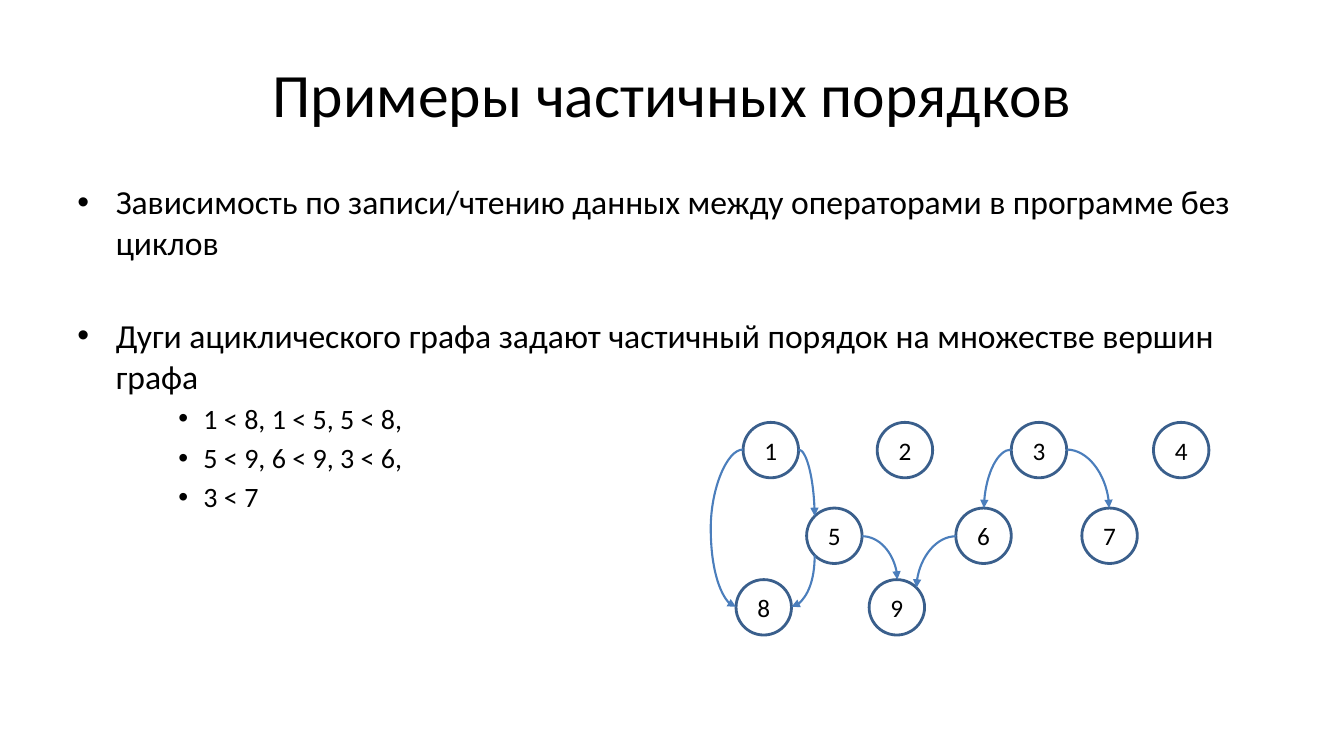
from dataclasses import dataclass

from lxml import etree
from pptx import Presentation
from pptx.dml.color import RGBColor
from pptx.enum.shapes import MSO_CONNECTOR, MSO_SHAPE
from pptx.enum.text import MSO_ANCHOR, PP_ALIGN
from pptx.oxml.ns import qn
from pptx.util import Emu, Pt

CURVE = MSO_CONNECTOR.CURVE
OVAL = MSO_SHAPE.OVAL
LEFT, CENTER = PP_ALIGN.LEFT, PP_ALIGN.CENTER
TOP, MIDDLE = MSO_ANCHOR.TOP, MSO_ANCHOR.MIDDLE


@dataclass(frozen=True)
class Theme:
    font: str = "Calibri"
    text: str = "000000"
    outline: str = "3A5F8C"
    arrow: str = "4B7EBC"
    title: int = 44
    body: int = 24
    sub: int = 20
    node: int = 18


def px(n):
    """100 px to the inch."""
    return Emu(round(n * 9144))


def add_text(tf, text, size, theme, first=True, align=LEFT, before=0, indent=None):
    """Write one paragraph; indent is (margin, hanging) in px and adds a bullet."""
    p = tf.paragraphs[0] if first else tf.add_paragraph()
    p.alignment = align
    p.space_before = Pt(before)
    r = p.add_run()
    r.text = text
    r.font.name = theme.font
    r.font.size = Pt(size)
    r.font.color.rgb = RGBColor.from_string(theme.text)
    if indent:
        margin, hanging = indent
        pPr = p._p.get_or_add_pPr()
        pPr.set("marL", str(px(margin)))
        pPr.set("indent", str(px(-hanging)))
        etree.SubElement(pPr, qn("a:buFont"), typeface="Arial")
        etree.SubElement(pPr, qn("a:buChar"), char="•")


class SlideBuilder:
    def __init__(self, slide, theme):
        self.slide, self.theme = slide, theme

    def text_box(self, x, y, w, h, anchor=TOP):
        tf = self.slide.shapes.add_textbox(px(x), px(y), px(w), px(h)).text_frame
        tf.word_wrap = True
        tf.vertical_anchor = anchor
        return tf

    def node(self, label, x, y, size):
        sp = self.slide.shapes.add_shape(OVAL, px(x), px(y), px(size), px(size))
        sp.shadow.inherit = False
        sp.fill.background()
        sp.line.color.rgb = RGBColor.from_string(self.theme.outline)
        sp.line.width = Pt(2)
        sp.text_frame.vertical_anchor = MIDDLE
        add_text(sp.text_frame, label, self.theme.node, self.theme, align=CENTER)

    def arrow(self, start, end, down_first=False, bulge_x=None):
        """Quarter curve, or a C-shaped curve reaching out to bulge_x."""
        (x1, y1), (x2, y2) = start, end
        c = self.slide.shapes.add_connector(CURVE, px(x1), px(y1), px(x2), px(y2))
        c.line.color.rgb = RGBColor.from_string(self.theme.arrow)
        c.line.width = Pt(1.5)
        spPr = c._element.spPr
        etree.SubElement(c.line._get_or_add_ln(), qn("a:tailEnd"), type="triangle")
        etree.SubElement(spPr, qn("a:effectLst"))
        geom = spPr.find(qn("a:prstGeom"))
        if bulge_x is None:
            geom.set("prst", "curvedConnector2")
        else:
            adj = round((bulge_x - x1) / (x2 - x1) * 100000)
            guides = geom.find(qn("a:avLst"))
            if guides is None:
                guides = etree.SubElement(geom, qn("a:avLst"))
            etree.SubElement(guides, qn("a:gd"), name="adj1", fmla=f"val {adj}")
        if down_first:  # a quarter turn, with width and height swapped
            w, h = abs(y2 - y1), abs(x2 - x1)
            c.left, c.top = px((x1 + x2 - w) / 2), px((y1 + y2 - h) / 2)
            c.width, c.height = px(w), px(h)
            xfrm = spPr.find(qn("a:xfrm"))
            xfrm.attrib.pop("flipH", None)
            xfrm.set("rot", "5400000")


NODE = 55
ROWS = {
    419: {"1": 737, "2": 870, "3": 1003, "4": 1144},
    504: {"5": 800, "6": 948, "7": 1073},
    575: {"8": 730, "9": 862},
}
NODES = {label: (x, y) for y, row in ROWS.items() for label, x in row.items()}
DIAG = 0.707
SITES = {
    "left": (-1, 0), "right": (1, 0), "top": (0, -1),
    "top left": (-DIAG, -DIAG), "top right": (DIAG, -DIAG),
    "bottom left": (-DIAG, DIAG),
}
# From node and site, to node and site, format
ARROWS = [
    ("3", "left", "6", "top", {}),
    ("6", "left", "9", "top right", {}),
    ("5", "right", "9", "top", {}),
    ("5", "bottom left", "8", "right", {"down_first": True}),
    ("1", "left", "8", "left", {"bulge_x": 705}),
    ("1", "right", "5", "top left", {}),
    ("3", "right", "7", "top", {}),
]


def site(label, name):
    x, y = NODES[label]
    dx, dy = SITES[name]
    return round(x + NODE / 2 * (1 + dx)), round(y + NODE / 2 * (1 + dy))


def main():
    theme = Theme()
    prs = Presentation()
    prs.slide_width, prs.slide_height = px(1333), px(750)
    s = SlideBuilder(prs.slides.add_slide(prs.slide_layouts[6]), theme)

    # Title
    tf = s.text_box(67, 30, 1200, 125, MIDDLE)
    add_text(tf, "Примеры частичных порядков", theme.title, theme, align=CENTER)

    # Bullets
    main_level, sub_level = (38, 38), (125, 25)
    bullets = [
        ("Зависимость по записи/чтению данных между операторами в программе без циклов",
         theme.body, 5, main_level),
        ("Дуги ациклического графа задают частичный порядок на множестве вершин графа",
         theme.body, 38, main_level),
        ("1 < 8, 1 < 5, 5 < 8,", theme.sub, 4, sub_level),
        ("5 < 9, 6 < 9, 3 < 6,", theme.sub, 4, sub_level),
        ("3 < 7", theme.sub, 4, sub_level),
    ]
    tf = s.text_box(67, 175, 1200, 495)
    for i, (text, size, before, indent) in enumerate(bullets):
        add_text(tf, text, size, theme, first=i == 0, before=before, indent=indent)

    # Graph
    for label, (x, y) in NODES.items():
        s.node(label, x, y, NODE)
    for tail, tail_site, head, head_site, style in ARROWS:
        s.arrow(site(tail, tail_site), site(head, head_site), **style)

    prs.save("out.pptx")


if __name__ == "__main__":
    main()
